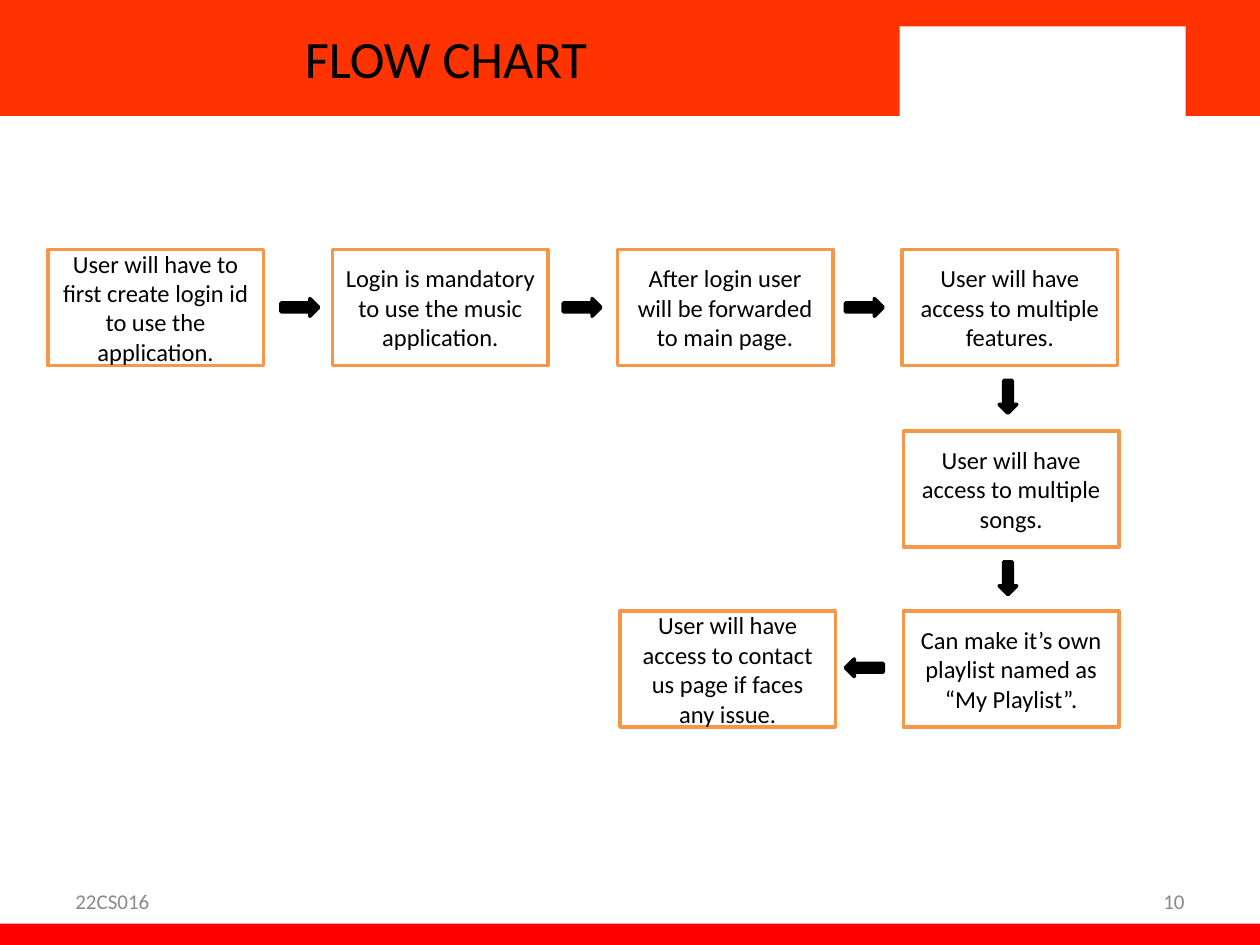
import pptx
import pptx.util
import pptx.dml.color
import pptx.enum.shapes
import pptx.enum.text

Inches = pptx.util.Inches
Shape = pptx.enum.shapes.MSO_SHAPE
Align = pptx.enum.text.PP_ALIGN

COLORS = {
    "band": "FF3300",
    "footer": "FF0000",
    "paper": "FFFFFF",
    "border": "F79646",
    "ink": "000000",
    "muted": "898989",
}


class FlowSlide:
    """Draw the elements of a flow chart slide in one style."""

    font_name = "Calibri"
    box_size = (1.71, 0.92)
    arrow_width = 0.14
    line_width = 2

    def __init__(self, deck):
        self.slide = deck.slides.add_slide(deck.slide_layouts[5])
        self.shapes = self.slide.shapes

    def color(self, name):
        return pptx.dml.color.RGBColor.from_string(COLORS[name])

    def set_text(self, shape, text, size, color, align):
        frame = shape.text_frame
        frame.text = text
        frame.word_wrap = True
        frame.auto_size = pptx.enum.text.MSO_AUTO_SIZE.NONE
        frame.vertical_anchor = pptx.enum.text.MSO_ANCHOR.MIDDLE
        para = frame.paragraphs[0]
        para.alignment = align
        for span in para.runs:
            span.font.name = self.font_name
            span.font.size = pptx.util.Pt(size)
            span.font.color.rgb = self.color(color)

    def shape(self, kind, left, top, width, height, fill, line=None):
        shape = self.shapes.add_shape(
            kind, Inches(left), Inches(top), Inches(width), Inches(height))
        shape.shadow.inherit = False
        shape.fill.solid()
        shape.fill.fore_color.rgb = self.color(fill)
        if line:
            shape.line.color.rgb = self.color(line)
            shape.line.width = pptx.util.Pt(self.line_width)
        else:
            shape.line.fill.background()
        return shape

    def band(self, left, top, width, height, fill):
        self.shape(Shape.RECTANGLE, left, top, width, height, fill)

    def title(self, text, left, top, width, height):
        title = self.shapes.title
        title.left, title.top = Inches(left), Inches(top)
        title.width, title.height = Inches(width), Inches(height)
        self.set_text(title, text, 30, "ink", Align.CENTER)
        title.element.getparent().append(title.element)

    def label(self, text, left, align):
        label = self.shapes.add_textbox(
            Inches(left), Inches(6.95), Inches(2.33), Inches(0.4))
        self.set_text(label, text, 12, "muted", align)

    def step(self, text, left, top):
        box = self.shape(Shape.RECTANGLE, left, top, *self.box_size, "paper", "border")
        self.set_text(box, text, 14, "ink", Align.CENTER)

    def arrow(self, left, top, length, rotation=0):
        arrow = self.shape(
            Shape.DOWN_ARROW, left, top, self.arrow_width, length, "ink", "ink")
        arrow.rotation = rotation


def main():
    deck = pptx.Presentation()
    deck.slide_width, deck.slide_height = Inches(10), Inches(7.5)
    page = FlowSlide(deck)

    page.band(0, 0, 10, 0.92, "band")
    page.band(0, 7.33, 10, 0.17, "footer")
    page.band(7.14, 0.21, 2.27, 0.75, "paper")
    page.title("FLOW CHART", 0, 0, 7.08, 0.92)
    page.label("22CS016", 0.5, Align.LEFT)
    page.label("10", 7.17, Align.RIGHT)

    across = [
        "User will have to first create login id to use the application.",
        "Login is mandatory to use the music application.",
        "After login user will be forwarded to main page.",
        "User will have access to multiple features.",
    ]
    for index, text in enumerate(across):
        page.step(text, 0.38 + 2.26 * index, 1.98)
    for index in range(len(across) - 1):
        page.arrow(2.31 + 2.24 * index, 2.29, 0.3, 270)

    down = [
        "User will have access to multiple songs.",
        "Can make it’s own playlist named as “My Playlist”.",
    ]
    for index, text in enumerate(down):
        page.arrow(7.93, 3.02 + 1.44 * index, 0.26)
        page.step(text, 7.17, 3.42 + 1.43 * index)

    page.arrow(6.79, 5.15, 0.3, 90)
    page.step("User will have access to contact us page if faces any issue.", 4.92, 4.85)

    deck.save("out.pptx")


if __name__ == "__main__":
    main()
